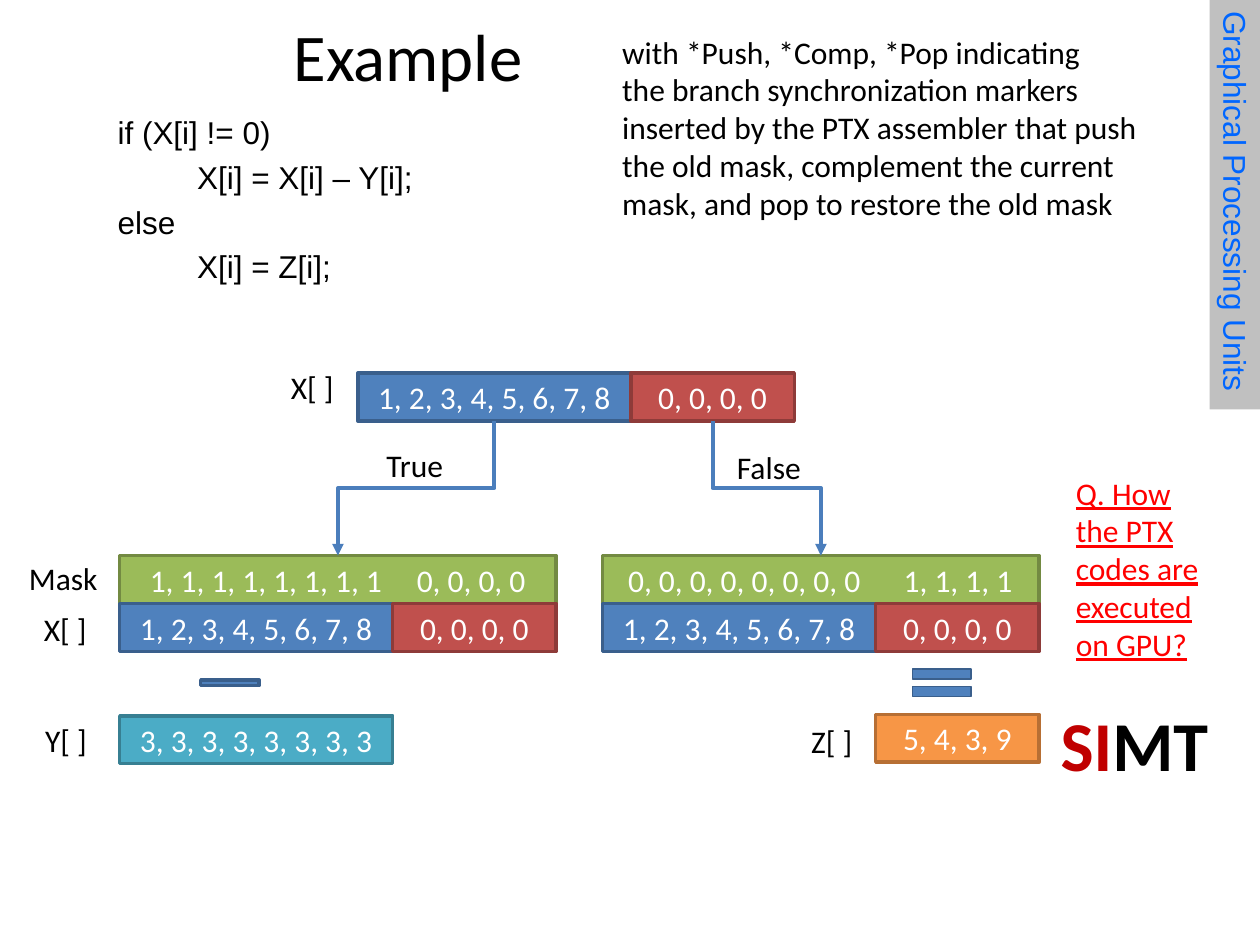
from lxml import etree
from pptx import Presentation
from pptx.dml.color import RGBColor
from pptx.enum.shapes import MSO_CONNECTOR as Connector, MSO_SHAPE as Shape
from pptx.enum.text import MSO_ANCHOR as Anchor, PP_ALIGN as Align
from pptx.oxml.ns import qn
from pptx.util import Pt

BLACK = RGBColor(0, 0, 0)
WHITE = RGBColor(255, 255, 255)
RED = RGBColor(255, 0, 0)
DARK_RED = RGBColor(0xC0, 0, 0)
GRAY = RGBColor(0xC0, 0xC0, 0xC0)
BANNER_BLUE = RGBColor(0, 0x66, 0xFF)
CONNECTOR_BLUE = RGBColor(0x4B, 0x7E, 0xBC)
BLUE = (RGBColor(0x4F, 0x81, 0xBD), RGBColor(0x3A, 0x5F, 0x8C))
MAROON = (RGBColor(0xC0, 0x50, 0x4D), RGBColor(0x8E, 0x3B, 0x39))
GREEN = (RGBColor(0x9B, 0xBB, 0x59), RGBColor(0x73, 0x8A, 0x42))
TEAL = (RGBColor(0x4B, 0xAC, 0xC6), RGBColor(0x37, 0x7F, 0x92))
ORANGE = (RGBColor(0xF7, 0x96, 0x46), RGBColor(0xB7, 0x6F, 0x34))

DATA_WIDTH, ZERO_WIDTH, ROW_HEIGHT = 156, 93.4, 27.4
ARRAY_WIDTH = DATA_WIDTH + ZERO_WIDTH
TOP_LEFT, TOP_Y = 204.5, 213.1
TRUE_LEFT, FALSE_LEFT, MASK_Y = 68.4, 344.4, 317.5
X_Y = MASK_Y + ROW_HEIGHT


def style(paragraph, size=18, color=BLACK, font="Calibri"):
    paragraph.font.size = Pt(size)
    paragraph.font.name = font
    paragraph.font.color.rgb = color


def set_insets(frame, left=0, top=0, right=0, bottom=0):
    frame.margin_left, frame.margin_top = Pt(left), Pt(top)
    frame.margin_right, frame.margin_bottom = Pt(right), Pt(bottom)


def add_text(slide, box, lines, wrap=False, **look):
    shape = slide.shapes.add_textbox(*map(Pt, box))
    frame = shape.text_frame
    frame.word_wrap = wrap
    frame.text = "\n".join(lines)
    for paragraph in frame.paragraphs:
        style(paragraph, **look)
    return frame


def add_block(slide, box, colors, kind=Shape.RECTANGLE, line_width=2):
    shape = slide.shapes.add_shape(kind, *map(Pt, box))
    shape.shadow.inherit = False
    fill, line = colors
    shape.fill.solid()
    shape.fill.fore_color.rgb = fill
    if line is None:
        shape.line.fill.background()
    else:
        shape.line.color.rgb = line
        shape.line.width = Pt(line_width)
    return shape


def add_cell(slide, left, top, width, text, colors):
    shape = add_block(slide, (left, top, width, ROW_HEIGHT), colors)
    frame = shape.text_frame
    frame.vertical_anchor = Anchor.MIDDLE
    paragraph = frame.paragraphs[0]
    paragraph.text = text
    paragraph.alignment = Align.CENTER
    style(paragraph, color=WHITE)
    return frame


def add_array(slide, left, top):
    add_cell(slide, left, top, DATA_WIDTH, "1, 2, 3, 4, 5, 6, 7, 8", BLUE)
    add_cell(slide, left + DATA_WIDTH, top, ZERO_WIDTH, "0, 0, 0, 0", MAROON)


def add_mask(slide, left, data_mask, zero_mask, inset, tab):
    frame = add_cell(slide, left, MASK_Y, ARRAY_WIDTH, "", GREEN)
    frame.margin_left = Pt(inset)
    paragraph = frame.paragraphs[0]
    paragraph.text = f"{data_mask}\t{zero_mask}"
    paragraph.alignment = Align.LEFT
    properties = paragraph._p.get_or_add_pPr()
    tabs = etree.Element(qn("a:tabLst"))
    etree.SubElement(tabs, qn("a:tab"), pos=str(Pt(tab)), algn="l")
    properties.insert(0, tabs)


def add_branch(slide, start_x, end_x):
    start_y, end_y = TOP_Y + ROW_HEIGHT, MASK_Y
    middle_x, middle_y = (start_x + end_x) / 2, (start_y + end_y) / 2
    half_length, half_shift = (end_y - start_y) / 2, abs(end_x - start_x) / 2
    turn = 1 if end_x < start_x else -1
    connector = slide.shapes.add_connector(
        Connector.ELBOW,
        Pt(middle_x - turn * half_length), Pt(middle_y - half_shift),
        Pt(middle_x + turn * half_length), Pt(middle_y + half_shift))
    connector.line.color.rgb = CONNECTOR_BLUE
    connector.line.width = Pt(2.25)
    properties = connector._element.spPr
    properties.find(qn("a:xfrm")).set("rot", str(turn * 90 % 360 * 60000))
    etree.SubElement(properties.find(qn("a:ln")), qn("a:tailEnd"), type="triangle")
    etree.SubElement(properties, qn("a:effectLst"))


def add_title(slide):
    title = slide.shapes.title
    title.left, title.top, title.width, title.height = map(Pt, (118, 7.2, 230.4, 47.5))
    frame = title.text_frame
    frame.text = "Example"
    frame.vertical_anchor = Anchor.MIDDLE
    set_insets(frame, top=0.7)
    frame.paragraphs[0].alignment = Align.CENTER
    style(frame.paragraphs[0], size=38.1)


def add_code(slide):
    lines = ["if (X[i] != 0)", "X[i] = X[i] – Y[i];", "else", "X[i] = Z[i];"]
    frame = add_text(slide, (66.5, 59.8, 249, 104.4), lines, True, font="Arial")
    set_insets(frame, left=0.7, top=5)
    for index, paragraph in enumerate(frame.paragraphs):
        if index:
            paragraph.space_before = Pt(3.9)
        if index % 2:
            paragraph._p.get_or_add_pPr().set("marL", str(Pt(45.5)))


def add_banner(slide):
    add_block(slide, (691.2, 0, 28.8, 234), (GRAY, None))
    frame = add_text(slide, (694, 6.5, 22.3, 219), ["Graphical Processing Units"],
                     True, color=BANNER_BLUE, font="Arial")
    set_insets(frame)
    frame._txBody.bodyPr.set("vert", "vert")
    frame.paragraphs[0].line_spacing = Pt(20.9)


def add_notes_text(slide):
    add_text(slide, (348.5, 15.1, 312.5, 116.6), [
        "with *Push, *Comp, *Pop indicating",
        "the branch synchronization markers inserted by the PTX assembler that push "
        "the old mask, complement the current mask, and pop to restore the old mask",
    ], True)
    question = add_text(slide, (607.7, 267.1, 90.7, 116.6),
                        ["Q. How the PTX codes are executed on GPU?"], True, color=RED)
    question.paragraphs[0].font.underline = True
    paragraph = add_text(slide, (599, 397.4, 99.4, 55.4), [""], size=40).paragraphs[0]
    paragraph.font.bold = True
    for text, color in (("SI", DARK_RED), ("MT", BLACK)):
        run = paragraph.add_run()
        run.text = text
        run.font.color.rgb = color


def add_diagram(slide):
    add_array(slide, TOP_LEFT, TOP_Y)
    add_mask(slide, TRUE_LEFT, "1, 1, 1, 1, 1, 1, 1, 1", "0, 0, 0, 0", 17.2, 152.6)
    add_mask(slide, FALSE_LEFT, "0, 0, 0, 0, 0, 0, 0, 0", "1, 1, 1, 1", 14.5, 157.5)
    for left in (TRUE_LEFT, FALSE_LEFT):
        add_array(slide, left, X_Y)
    add_cell(slide, TRUE_LEFT, 409, DATA_WIDTH, "3, 3, 3, 3, 3, 3, 3, 3", TEAL)
    add_cell(slide, FALSE_LEFT + DATA_WIDTH, 408.2, ZERO_WIDTH, "5, 4, 3, 9", ORANGE)

    add_branch(slide, TOP_LEFT + DATA_WIDTH / 2, TRUE_LEFT + ARRAY_WIDTH / 2)
    add_branch(slide, TOP_LEFT + DATA_WIDTH + ZERO_WIDTH / 2, FALSE_LEFT + ARRAY_WIDTH / 2)

    for text, left, top, width in (
        ("True", 213.8, 251.3, 47.5), ("False", 414, 252.7, 51.1),
        ("Mask", 9.4, 316.1, 54), ("X[ ]", 159.1, 206.6, 39.6),
        ("X[ ]", 18, 344.9, 39.6), ("Y[ ]", 18.7, 408.2, 39.6),
        ("Z[ ]", 456.5, 409, 38.2),
    ):
        add_text(slide, (left, top, width, 29), [text])

    add_block(slide, (108.7, 383, 45.4, 14.4), BLUE, Shape.MATH_MINUS)
    equal = add_block(slide, (515.5, 371.5, 45.4, 37.4), BLUE, Shape.MATH_EQUAL, 0.75)
    equal.adjustments[0], equal.adjustments[1] = 0.15, 0.12


def main():
    presentation = Presentation()
    presentation.slide_width, presentation.slide_height = Pt(720), Pt(540)
    slide = presentation.slides.add_slide(presentation.slide_layouts[5])
    add_title(slide)
    add_code(slide)
    add_banner(slide)
    add_notes_text(slide)
    add_diagram(slide)
    presentation.save("out.pptx")


if __name__ == "__main__":
    main()
